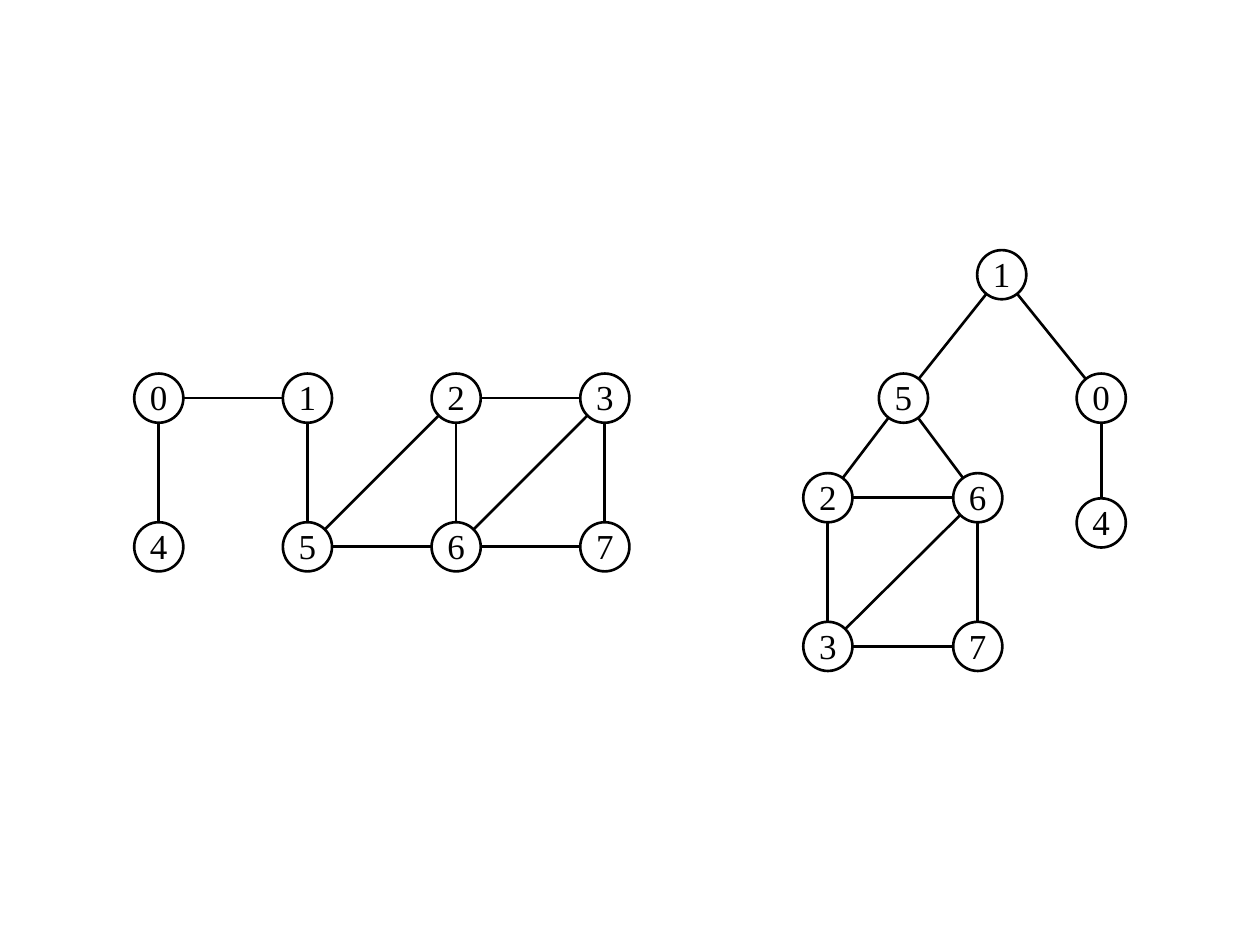
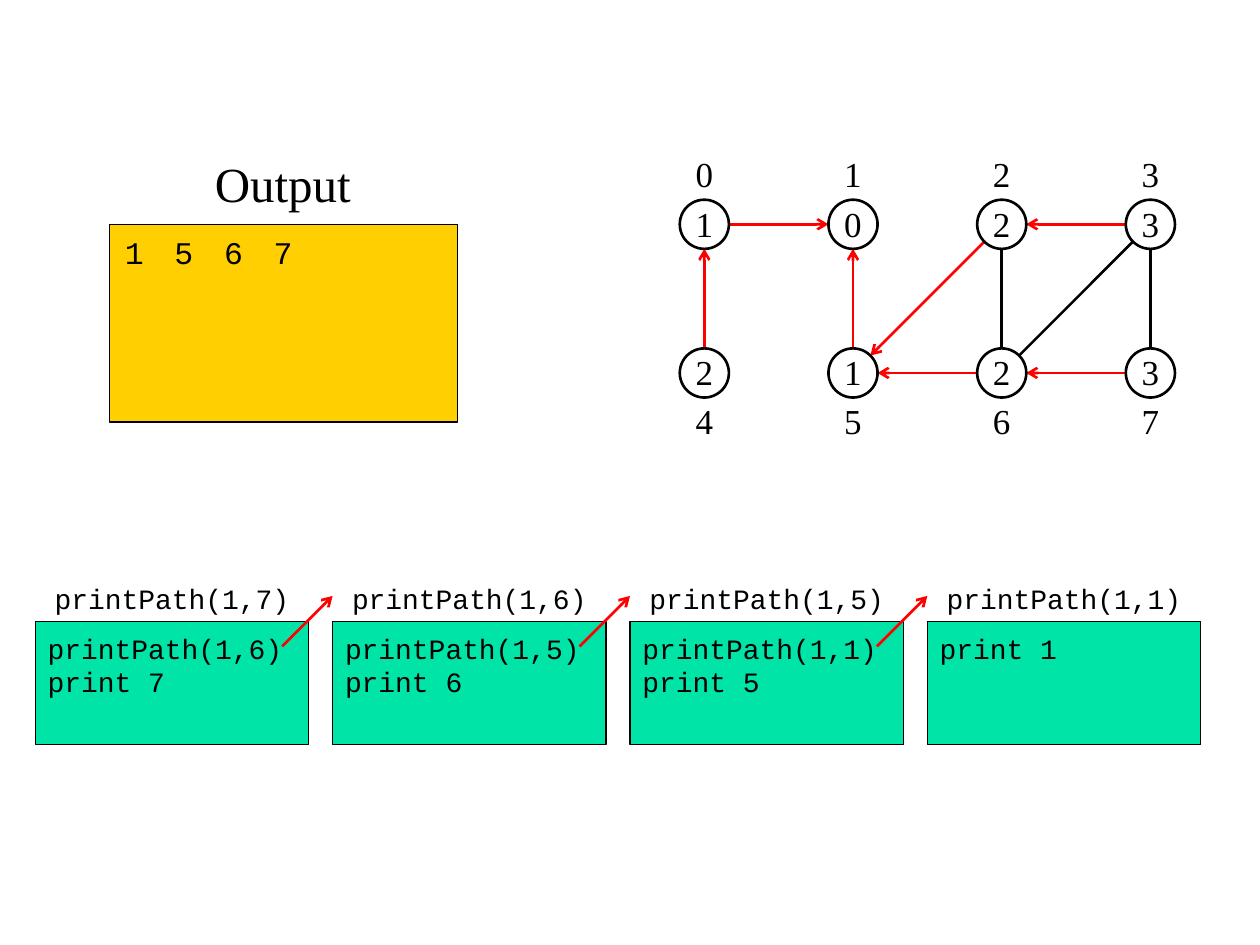
from dataclasses import dataclass
from math import hypot

from lxml.etree import SubElement
from pptx import Presentation
from pptx.dml.color import RGBColor
from pptx.enum.shapes import MSO_CONNECTOR, MSO_SHAPE
from pptx.enum.text import MSO_ANCHOR, PP_ALIGN
from pptx.oxml.ns import qn
from pptx.util import Inches, Pt


@dataclass(frozen=True)
class Theme:
    ink: RGBColor = RGBColor(0, 0, 0)
    paper: RGBColor = RGBColor(255, 255, 255)
    path_arrow: RGBColor = RGBColor(255, 0, 0)
    output: RGBColor = RGBColor(0xFF, 0xCF, 0x01)
    call: RGBColor = RGBColor(0x00, 0xE4, 0xA8)
    serif: str = "Times New Roman"
    mono: str = "Courier New"
    title_size: int = 28
    node_size: int = 20
    output_size: int = 18
    code_size: int = 16
    edge_width: float = 1.5
    box_width: float = 0.75


THEME = Theme()
DIAMETER = 0.39
RADIUS = DIAMETER / 2
GRID_STEP = 1.18

NODE_TEXT = {"name": THEME.serif, "size": Pt(THEME.node_size)}
TITLE_TEXT = {"name": THEME.serif, "size": Pt(THEME.title_size)}
OUTPUT_TEXT = {"name": THEME.mono, "size": Pt(THEME.output_size)}
CODE_TEXT = {"name": THEME.mono, "size": Pt(THEME.code_size)}

CENTRED = {"vertical_anchor": MSO_ANCHOR.MIDDLE, "word_wrap": False}
BOTTOM = {"vertical_anchor": MSO_ANCHOR.BOTTOM, "word_wrap": False}
TOP = {"vertical_anchor": MSO_ANCHOR.TOP, "word_wrap": True}


def apply_format(target, values):
    for name, value in values.items():
        setattr(target, name, value)


def write(shape, lines, font, layout, margins, align=PP_ALIGN.CENTER):
    frame = shape.text_frame
    top, bottom = margins
    apply_format(frame, layout | {
        "margin_left": Inches(0.1), "margin_right": Inches(0.1),
        "margin_top": Inches(top), "margin_bottom": Inches(bottom),
    })
    frame.text = "\n".join(lines)
    for paragraph in frame.paragraphs:
        paragraph.alignment = align
        apply_format(paragraph.font, font)
        paragraph.font.color.rgb = THEME.ink


def add_label(slide, box, text, font, layout=CENTRED, margins=(0.05, 0.05)):
    label = slide.shapes.add_textbox(*map(Inches, box))
    write(label, [text], font, layout, margins)


def add_outlined(slide, kind, box, fill, line_width):
    shape = slide.shapes.add_shape(kind, *map(Inches, box))
    shape.shadow.inherit = False
    shape.fill.solid()
    shape.fill.fore_color.rgb = fill
    shape.line.color.rgb = THEME.ink
    shape.line.width = Pt(line_width)
    return shape


def add_line(slide, start, end, color=THEME.ink, arrow=False):
    line = slide.shapes.add_connector(
        MSO_CONNECTOR.STRAIGHT, *map(Inches, (*start, *end)))
    line.line.color.rgb = color
    line.line.width = Pt(THEME.edge_width)
    if arrow:
        SubElement(line.line._get_or_add_ln(), qn("a:tailEnd"), type="arrow")
    SubElement(line._element.spPr, qn("a:effectLst"))


def square_around(centre):
    x, y = centre
    return x - RADIUS, y - RADIUS, DIAMETER, DIAMETER


def add_nodes(slide, centres, values):
    for node, centre in centres.items():
        circle = add_outlined(slide, MSO_SHAPE.OVAL, square_around(centre),
                              THEME.paper, THEME.edge_width)
        write(circle, [str(values[node])], NODE_TEXT, CENTRED, (0, 0.02))


def add_edges(slide, centres, edges, gap=RADIUS, **style):
    for first, last in edges:
        (x1, y1), (x2, y2) = centres[first], centres[last]
        length = hypot(x2 - x1, y2 - y1)
        dx, dy = gap * (x2 - x1) / length, gap * (y2 - y1) / length
        add_line(slide, (x1 + dx, y1 + dy), (x2 - dx, y2 - dy), **style)


def grid_centres(left, top):
    return {node: (left + node % 4 * GRID_STEP, top + node // 4 * GRID_STEP)
            for node in range(8)}


def add_call(slide, left, title, lines):
    add_label(slide, (left, 4.54, 2.17, 0.39), title, CODE_TEXT, BOTTOM)
    box = add_outlined(slide, MSO_SHAPE.RECTANGLE, (left, 4.93, 2.17, 0.98),
                       THEME.call, THEME.box_width)
    write(box, lines, CODE_TEXT, TOP, (0.08, 0.05), PP_ALIGN.LEFT)


def build_graph_and_tree(slide):
    graph = grid_centres(1.26, 3.16)
    tree = {1: (7.95, 2.18), 5: (7.17, 3.16), 0: (8.74, 3.16),
            2: (6.57, 3.95), 6: (7.76, 3.95), 4: (8.74, 4.15),
            3: (6.57, 5.13), 7: (7.76, 5.13)}
    branches = [(5, 1), (0, 1), (5, 2), (5, 6)]
    others = [(0, 4), (6, 3), (6, 2), (7, 3), (6, 7), (2, 3)]
    graph_edges = [(0, 1), (0, 4), (1, 5), (5, 2), (5, 6),
                   (2, 3), (2, 6), (6, 3), (6, 7), (3, 7)]
    add_edges(slide, tree, branches, gap=0)
    add_edges(slide, tree, others)
    add_edges(slide, graph, graph_edges)
    for centres in (tree, graph):
        add_nodes(slide, centres, range(8))


def build_print_path(slide):
    add_outlined(slide, MSO_SHAPE.RECTANGLE, (0.87, 1.78, 2.76, 1.57),
                 THEME.output, THEME.box_width)
    add_label(slide, (1.46, 1.19, 1.57, 0.59), "Output", TITLE_TEXT,
              margins=(0.05, 0.12))
    for index, value in enumerate("1567"):
        add_label(slide, (0.87 + index * 0.394, 1.78, DIAMETER, DIAMETER),
                  value, OUTPUT_TEXT, margins=(0.04, 0))

    centres = grid_centres(5.59, 1.78)
    distances = [1, 0, 2, 3, 2, 1, 2, 3]
    parents = [(0, 1), (4, 0), (5, 1), (2, 5), (6, 5), (3, 2), (7, 6)]
    add_edges(slide, centres, [(6, 3), (2, 6), (3, 7)])
    add_edges(slide, centres, parents, color=THEME.path_arrow, arrow=True)
    add_nodes(slide, centres, distances)
    for node, (x, y) in centres.items():
        offset = -DIAMETER if node < 4 else DIAMETER
        add_label(slide, square_around((x, y + offset)), str(node), NODE_TEXT,
                  margins=(0.04, 0.06))

    path = [7, 6, 5, 1]
    for index, node in enumerate(path):
        left = 0.28 + index * 2.36
        following = path[index + 1:index + 2]
        lines = [f"printPath(1,{parent})" for parent in following]
        add_call(slide, left, f"printPath(1,{node})", [*lines, f"print {node}"])
    for index in range(len(path) - 1):
        right = 2.64 + index * 2.36
        add_line(slide, (right - 0.4, 5.13), (right, 4.73),
                 THEME.path_arrow, arrow=True)


def main():
    presentation = Presentation()
    presentation.slide_width = Inches(10)
    presentation.slide_height = Inches(7.5)
    for build in (build_graph_and_tree, build_print_path):
        build(presentation.slides.add_slide(presentation.slide_layouts[6]))
    presentation.save("out.pptx")


if __name__ == "__main__":
    main()
